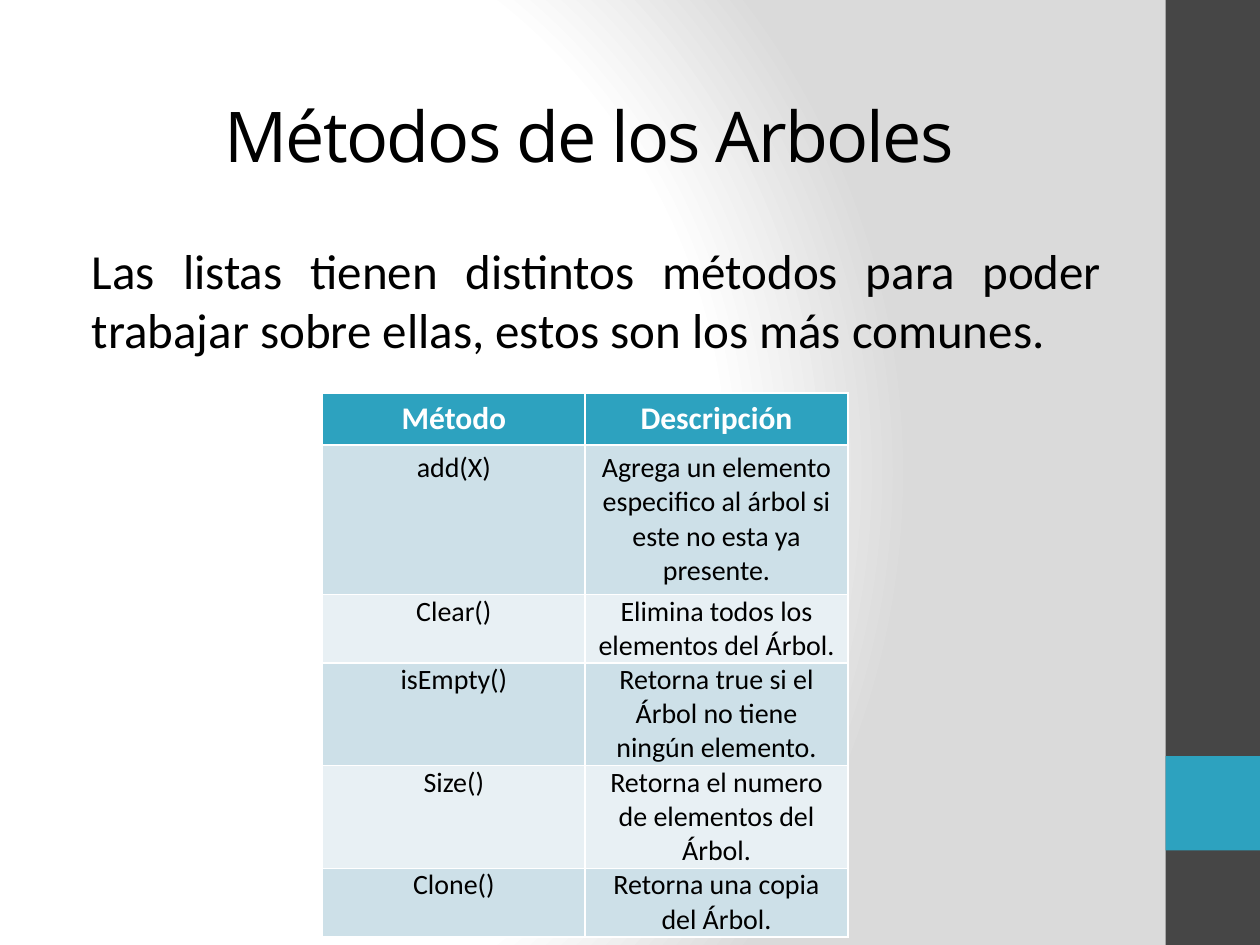
from pptx import Presentation
from pptx.dml.color import RGBColor
from pptx.enum.shapes import MSO_SHAPE
from pptx.enum.text import MSO_ANCHOR, MSO_AUTO_SIZE, PP_ALIGN
from pptx.oxml import parse_xml
from pptx.oxml.ns import nsdecls
from pptx.util import Inches, Pt

COLORS = {
    "white": "FFFFFF", "black": "000000", "backdrop": "DADADA",
    "sidebar": "464646", "accent": "2DA2BF",
    "band_dark": "CDE0E8", "band_light": "E8F0F4",
}

METHODS = [
    ("Método", "Descripción"),
    ("add(X)", "Agrega un elemento especifico al árbol si este no esta ya presente."),
    ("Clear()", "Elimina todos los elementos del Árbol."),
    ("isEmpty()", "Retorna true si el Árbol no tiene ningún elemento."),
    ("Size()", "Retorna el numero de elementos del Árbol."),
    ("Clone()", "Retorna una copia del Árbol."),
]


def rgb(name):
    return RGBColor.from_string(COLORS[name])


def place(sp, left, top, width, height):
    sp.left, sp.top = Inches(left), Inches(top)
    sp.width, sp.height = Inches(width), Inches(height)


class SlideBuilder:
    title_font = "Open Sans"
    body_font = "Calibri"

    def __init__(self, slide):
        self.s = slide

    def format(self, p, font, size, color="black", align=PP_ALIGN.CENTER, bold=False):
        p.alignment = align
        p.font.name, p.font.size, p.font.bold = font, Pt(size), bold
        p.font.color.rgb = rgb(color)

    def background(self):
        """Radial gradient that is white at the left and grey at the right."""
        self.s.background.fill.solid()
        bg_pr = self.s._element.cSld.bg.bgPr
        stops = "".join(
            f'<a:gs pos="{pos * 1000}"><a:srgbClr val="{COLORS[name]}"/></a:gs>'
            for pos, name in ((0, "white"), (75, "white"), (100, "backdrop")))
        bg_pr.replace(bg_pr[0], parse_xml(
            f'<a:gradFill {nsdecls("a")} rotWithShape="1"><a:gsLst>{stops}</a:gsLst>'
            '<a:path path="circle">'
            '<a:fillToRect l="20000" t="50000" r="100000" b="50000"/>'
            '</a:path></a:gradFill>'))

    def rectangle(self, color, *box):
        sp = self.s.shapes.add_shape(MSO_SHAPE.RECTANGLE, *map(Inches, box))
        sp.shadow.inherit = False
        sp.fill.solid()
        sp.fill.fore_color.rgb = rgb(color)
        sp.line.fill.background()

    def title(self, text, *box):
        sp = self.s.shapes.title
        place(sp, *box)
        tf = sp.text_frame
        tf.text = text
        tf.vertical_anchor = MSO_ANCHOR.MIDDLE
        tf.auto_size = MSO_AUTO_SIZE.NONE
        p = tf.paragraphs[0]
        self.format(p, self.title_font, 40)
        p.runs[0].font._element.set("spc", "-100")

    def body(self, text, *box):
        sp = self.s.placeholders[1]
        place(sp, *box)
        tf = sp.text_frame
        tf.text = text
        tf.auto_size = MSO_AUTO_SIZE.NONE
        p = tf.paragraphs[0]
        self.format(p, self.body_font, 28, align=PP_ALIGN.JUSTIFY)
        p_pr = p._p.get_or_add_pPr()
        p_pr.set("marL", str(Inches(0.12)))
        p_pr.set("indent", "0")
        p_pr.insert_element_before(
            parse_xml(f'<a:buNone {nsdecls("a")}/>'), "a:tabLst", "a:defRPr", "a:extLst")

    def table(self, rows, left, top, width, row_height):
        """Header row and banded rows; the rows grow with their text."""
        table = self.s.shapes.add_table(
            len(rows), len(rows[0]), Inches(left), Inches(top),
            Inches(width), Inches(row_height * len(rows))).table
        for i, row in enumerate(rows):
            fill = "accent" if i == 0 else "band_dark" if i % 2 else "band_light"
            for j, text in enumerate(row):
                cell = table.cell(i, j)
                cell.text = text
                cell.fill.solid()
                cell.fill.fore_color.rgb = rgb(fill)
                p = cell.text_frame.paragraphs[0]
                if i == 0:
                    self.format(p, self.body_font, 18, "white", bold=True)
                    continue
                self.format(p, self.body_font, 16)
                p.space_before = p.space_after = Pt(6)
                if i > 1:
                    cell.margin_left = cell.margin_right = Inches(0.07)
                    cell.margin_top = cell.margin_bottom = 0


def main():
    prs = Presentation()
    prs.slide_width, prs.slide_height = Inches(10), Inches(7.5)
    b = SlideBuilder(prs.slides.add_slide(prs.slide_layouts[1]))
    b.background()
    b.rectangle("sidebar", 9.25, 0, 0.75, 7.5)
    b.rectangle("accent", 9.25, 6, 0.75, 0.75)
    b.title("Métodos de los Arboles", 0.51, 0.44, 8.33, 1.25)
    b.body("Las listas tienen distintos métodos para poder trabajar sobre ellas, "
           "estos son los más comunes.", 0.51, 1.86, 8.33, 0.98)
    b.table(METHODS, 2.56, 3.12, 4.17, 0.41)
    prs.save("out.pptx")


if __name__ == "__main__":
    main()
